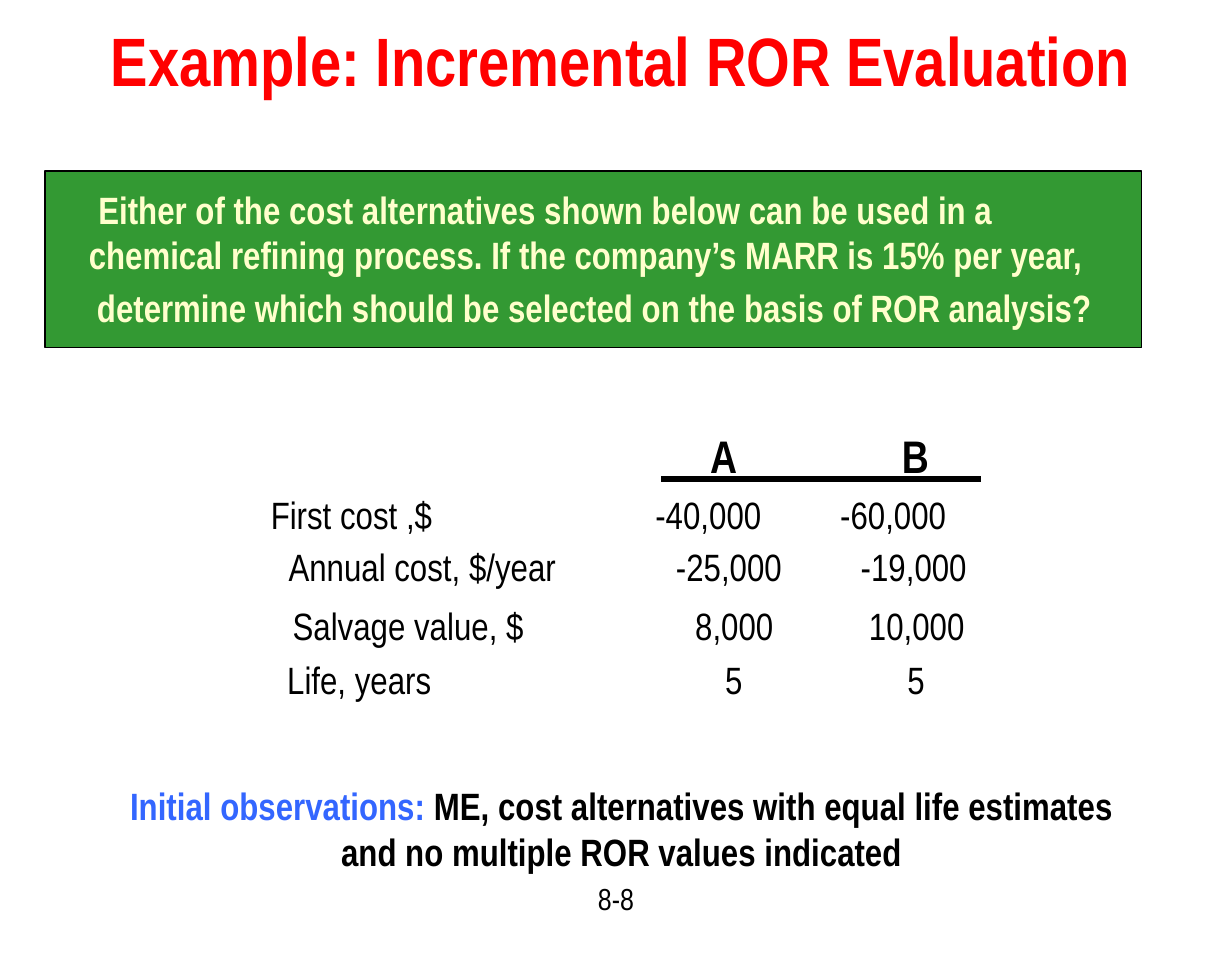
"""Build the slide on incremental rate-of-return evaluation."""
from lxml import etree
from pptx import Presentation
from pptx.dml.color import RGBColor
from pptx.enum.shapes import MSO_CONNECTOR, MSO_SHAPE
from pptx.enum.text import PP_ALIGN
from pptx.oxml.ns import qn
from pptx.util import Inches, Pt

LEFT, CENTER = PP_ALIGN.LEFT, PP_ALIGN.CENTER
RECTANGLE = MSO_SHAPE.RECTANGLE
STRAIGHT = MSO_CONNECTOR.STRAIGHT
FONT = "Arial Narrow"
INSET = 0.1
COLORS = {
    "black": "000000",
    "title": "FF0000",
    "panel": "339933",
    "problem": "FFFFCC",
    "lead": "3366FF",
}


class SlideBuilder:
    def __init__(self, slide):
        self.slide = slide

    def color(self, name):
        return RGBColor.from_string(COLORS[name])

    def panel(self, left, top, width, height):
        shape = self.slide.shapes.add_shape(
            RECTANGLE, Inches(left), Inches(top), Inches(width), Inches(height))
        shape.shadow.inherit = False
        shape.fill.solid()
        shape.fill.fore_color.rgb = self.color("panel")
        shape.line.color.rgb = self.color("black")
        shape.line.width = Pt(0.75)

    def rule(self, left, right, top):
        line = self.slide.shapes.add_connector(
            STRAIGHT, Inches(left), Inches(top), Inches(right), Inches(top))
        line.line.color.rgb = self.color("black")
        line.line.width = Pt(3)
        etree.SubElement(line._element.spPr, qn("a:effectLst"))

    def text(self, left, top, width, height, size=20, align=LEFT):
        box = self.slide.shapes.add_textbox(
            Inches(left), Inches(top), Inches(width), Inches(height))
        frame = box.text_frame
        frame.word_wrap = True
        frame.margin_left = frame.margin_right = Inches(INSET)
        paragraph = frame.paragraphs[0]
        paragraph.alignment = align
        paragraph.font.size = Pt(size)
        return frame

    def next_paragraph(self, frame):
        first = frame.paragraphs[0]
        paragraph = frame.add_paragraph()
        paragraph.alignment = first.alignment
        paragraph.font.size = first.font.size
        return paragraph

    def run(self, paragraph, text, color="black", bold=False):
        run = paragraph.add_run()
        run.text = text
        run.font.name = FONT
        run.font.size = paragraph.font.size
        run.font.bold = bold
        run.font.color.rgb = self.color(color)

    def indent(self, paragraph, distance):
        paragraph._p.get_or_add_pPr().set("indent", str(Inches(distance)))

    def tabs(self, paragraph, positions):
        properties = paragraph._p.get_or_add_pPr()
        tab_list = etree.Element(qn("a:tabLst"))
        for position in positions:
            etree.SubElement(tab_list, qn("a:tab"),
                             pos=str(Inches(position)), algn="l")
        properties.find(qn("a:defRPr")).addprevious(tab_list)

    def data_row(self, left, top, label, values, starts):
        paragraph = self.text(left, top, 5.3, 0.44).paragraphs[0]
        self.tabs(paragraph, [start - left - INSET for start in starts])
        self.run(paragraph, "\t".join([label, *values]))


def main():
    presentation = Presentation()
    presentation.slide_width = Inches(9)
    presentation.slide_height = Inches(7)
    slide = presentation.slides.add_slide(presentation.slide_layouts[6])
    builder = SlideBuilder(slide)

    page_number = builder.text(3.9, 6.38, 1.2, 0.47, 16, CENTER)
    builder.run(page_number.paragraphs[0], "8-8")
    title = builder.text(0.16, 0.08, 8.75, 0.89, 36, CENTER)
    builder.run(title.paragraphs[0], "Example: Incremental ROR Evaluation",
                "title", True)

    builder.panel(0.33, 1.25, 8.01, 1.29)
    problem = builder.text(0.55, 1.31, 7.78, 1.18)
    problem_lines = [
        ("Either of the cost alternatives shown below can be used in a", 0.07, 0),
        ("chemical refining process. If the company’s MARR is 15% per year,", 0, 0),
        ("determine which should be selected on the basis of ROR analysis?", 0.06, 4),
    ]
    for index, (line, indent, space) in enumerate(problem_lines):
        paragraph = (builder.next_paragraph(problem) if index
                     else problem.paragraphs[0])
        paragraph.space_before = Pt(space)
        builder.indent(paragraph, indent)
        builder.run(paragraph, line, "problem", True)

    for letter, left in [("A", 5.09), ("B", 6.49)]:
        heading = builder.text(left, 3.08, 0.5, 0.5, 24)
        builder.run(heading.paragraphs[0], letter, bold=True)
    builder.rule(4.83, 7.17, 3.5)

    rows = [
        (1.88, 3.54, "First cost ,$", ["-40,000", "-60,000"], [4.79, 6.14]),
        (2.01, 3.92, "Annual cost, $/year", ["-25,000", "-19,000"], [4.94, 6.29]),
        (2.04, 4.35, "Salvage value, $", ["8,000", "10,000"], [5.08, 6.35]),
        (2, 4.75, "Life, years", ["5", "5"], [5.3, 6.63]),
    ]
    for row in rows:
        builder.data_row(*row)

    observations = builder.text(0.75, 5.67, 7.58, 0.77, align=CENTER)
    opening = observations.paragraphs[0]
    builder.run(opening, "Initial observations: ", "lead", True)
    builder.run(opening, "ME, cost alternatives with equal life estimates", bold=True)
    builder.run(builder.next_paragraph(observations),
                "and no multiple ROR values indicated", bold=True)

    presentation.save("out.pptx")


if __name__ == "__main__":
    main()
